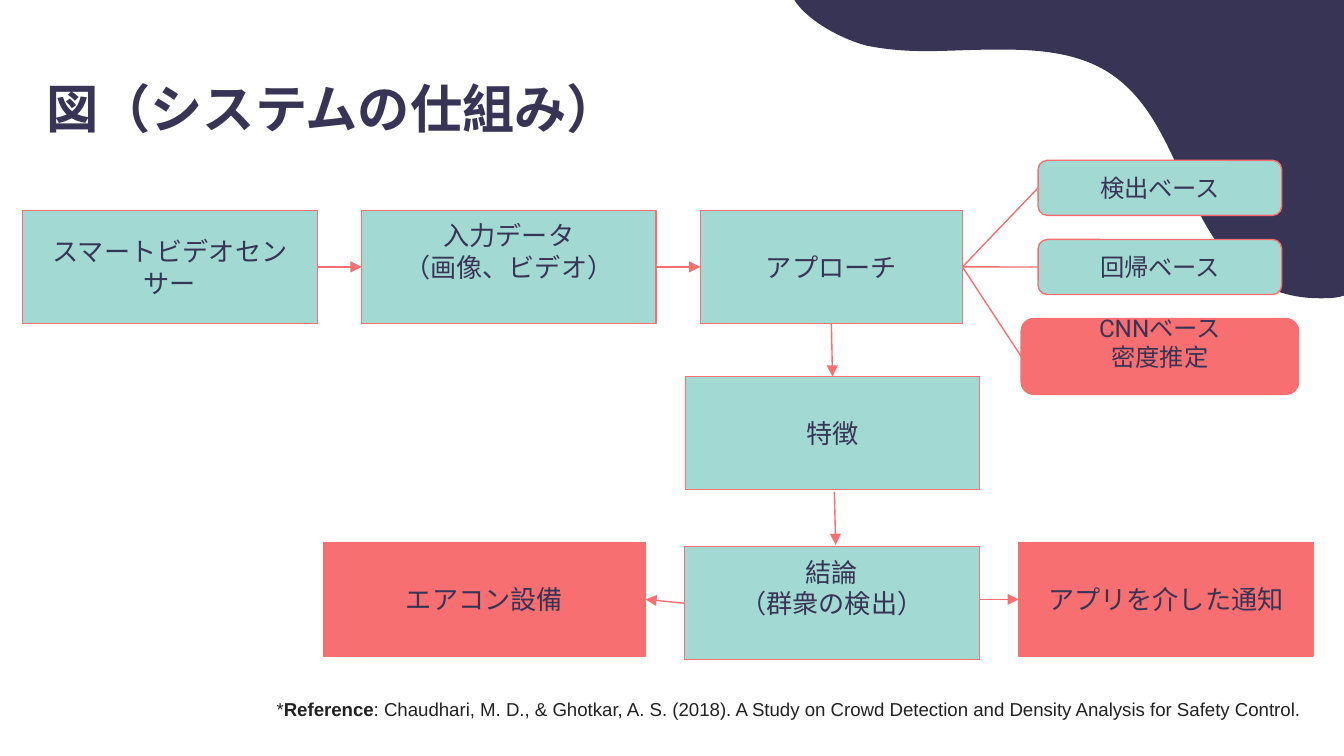
from dataclasses import dataclass

from lxml.etree import SubElement
from pptx import Presentation
from pptx.dml.color import RGBColor
from pptx.enum.shapes import MSO_CONNECTOR, MSO_SHAPE
from pptx.enum.text import MSO_ANCHOR, MSO_AUTO_SIZE, PP_ALIGN
from pptx.oxml.ns import qn
from pptx.util import Pt

NAVY, MINT, CORAL, WHITE, INK = "383455", "A2DAD3", "F76F70", "FFFFFF", "222222"
INSET = 7.2
STEP_WIDTH, STEP_HEIGHT = 157.8, 60.6


@dataclass
class Box:
    left: float
    top: float
    width: float
    height: float

    @property
    def middle(self):
        return self.top + self.height / 2

    @property
    def center(self):
        return self.left + self.width / 2

    @property
    def right(self):
        return self.left + self.width

    @property
    def bottom(self):
        return self.top + self.height

    def points(self):
        return [Pt(value) for value in (self.left, self.top, self.width, self.height)]


def color(value):
    return RGBColor.from_string(value)


def style_span(span, font, size, ink, bold=False):
    span.font.name = font
    span.font.size = Pt(size)
    span.font.bold = bold
    span.font.color.rgb = color(ink)


def set_insets(frame, top=INSET, bottom=INSET):
    frame.margin_left = frame.margin_right = Pt(INSET)
    frame.margin_top, frame.margin_bottom = Pt(top), Pt(bottom)
    frame.word_wrap = True
    frame.auto_size = MSO_AUTO_SIZE.NONE


def add_node(page, box, text, fill=MINT, size=14, kind=MSO_SHAPE.RECTANGLE, lift=0):
    node = page.shapes.add_shape(kind, *box.points())
    node.shadow.inherit = False
    node.fill.solid()
    node.fill.fore_color.rgb = color(fill)
    node.line.color.rgb = color(CORAL)
    node.line.width = Pt(0.75)
    frame = node.text_frame
    if lift:
        set_insets(frame, 0, 2 * lift)
    else:
        set_insets(frame)
    frame.vertical_anchor = MSO_ANCHOR.MIDDLE
    for index, line in enumerate(text.split("\n")):
        paragraph = frame.add_paragraph() if index else frame.paragraphs[0]
        paragraph.text = line
        paragraph.alignment = PP_ALIGN.CENTER
        style_span(paragraph.runs[0], "Roboto", size, NAVY)
    return box


def add_link(page, start, end, arrow=True):
    link = page.shapes.add_connector(
        MSO_CONNECTOR.STRAIGHT, *[Pt(value) for value in (*start, *end)]
    )
    link.line.color.rgb = color(CORAL)
    link.line.width = Pt(0.75)
    if arrow:
        SubElement(link.line._get_or_add_ln(), qn("a:tailEnd"), type="triangle")
    SubElement(link._element.spPr, qn("a:effectLst"))


def add_wave(page, box):
    curves = [
        ((290.2, 159.8), (285.8, 159.8), (281.5, 159.8)),
        ((267.8, 159.8), (254.2, 156.2), (243.4, 147.6)),
        ((208.1, 121.7), (206.6, 65.5), (170.6, 40.3)),
        ((154.1, 28.8), (133.2, 26.6), (113, 26.6)),
        ((110.9, 26.6), (108, 26.6), (105.8, 26.6)),
        ((94.3, 26.6), (82.1, 27.4), (70.6, 27.4)),
        ((59.8, 27.4), (49.7, 26.6), (38.9, 24.5)),
        ((27.4, 21.6), (7.9, 12.2), (0, 0)),
    ]
    builder = page.shapes.build_freeform(Pt(box.left), Pt(box.top))
    corners = [(box.right, box.top), (box.right, box.bottom)]
    builder.add_line_segments([(Pt(x), Pt(y)) for x, y in corners])
    wave = builder.convert_to_shape()
    outline = next(wave._element.iter(qn("a:path")))
    for command in list(outline):
        outline.remove(command)
    commands = [("moveTo", [(box.width, 0)]), ("lnTo", [(box.width, 158.4)])]
    commands += [("cubicBezTo", curve) for curve in curves]
    for name, points in commands:
        command = SubElement(outline, qn(f"a:{name}"))
        for x, y in points:
            SubElement(command, qn("a:pt"), x=str(Pt(x)), y=str(Pt(y)))
    SubElement(outline, qn("a:close"))
    wave.shadow.inherit = False
    wave.fill.solid()
    wave.fill.fore_color.rgb = color(NAVY)
    wave.line.fill.background()


def add_title(page, box):
    title = page.shapes.title
    title.left, title.top, title.width, title.height = box.points()
    frame = title.text_frame
    frame.text = "図（システムの仕組み）"
    set_insets(frame)
    frame.vertical_anchor = MSO_ANCHOR.TOP
    paragraph = frame.paragraphs[0]
    paragraph.alignment = PP_ALIGN.LEFT
    style_span(paragraph.runs[0], "Calibri", 28, NAVY, True)


def add_input_row(page, box):
    gap = 23.7
    steps = [
        ("スマートビデオセンサー", STEP_WIDTH, 0),
        ("入力データ\n（画像、ビデオ）", STEP_WIDTH, 8.4),
        ("アプローチ", 140.4, 0),
    ]
    left, previous = box.left, None
    for text, width, lift in steps:
        node = add_node(page, Box(left, box.top, width, box.height), text, lift=lift)
        if previous:
            add_link(page, (previous.right, box.middle), (left, box.middle))
        left, previous = node.right + gap, node
    return previous


def add_methods(page, box, source):
    gap = 12.9
    methods = [
        ("検出ベース", 130.5, 29.5, MINT, 0),
        ("回帰ベース", 130.5, 29.5, MINT, 0),
        ("CNNベース\n密度推定", box.width, 40.6, CORAL, 7.7),
    ]
    top = box.top
    for text, width, height, fill, lift in methods:
        place = Box(box.center - width / 2, top, width, height)
        add_node(page, place, text, fill, 13, MSO_SHAPE.ROUNDED_RECTANGLE, lift)
        add_link(page, (source.right, source.middle), (place.left, place.middle), False)
        top = place.bottom + gap


def add_result_area(page, box, source):
    height = STEP_HEIGHT
    feature = Box(box.left + 193.8, box.top, STEP_WIDTH, height)
    result = Box(box.left + 193.5, box.top + 91.2, STEP_WIDTH, height)
    cooling = Box(box.left, box.top + 89.1, 172.5, height)
    notice = Box(box.left + 372.4, cooling.top, STEP_WIDTH, height)
    add_node(page, feature, "特徴")
    add_node(page, result, "結論\n（群衆の検出）", lift=8.4)
    add_node(page, cooling, "エアコン設備", CORAL)
    add_node(page, notice, "アプリを介した通知", CORAL)
    add_link(page, (source.center, source.bottom), (feature.center, feature.top))
    add_link(page, (feature.center + 1, feature.bottom + 1.2), (result.center + 2, result.top - 1))
    add_link(page, (result.right, notice.middle), (notice.left, notice.middle))
    add_link(page, (result.left, result.middle), (cooling.right, cooling.middle))


def add_reference(page, box):
    frame = page.shapes.add_textbox(*box.points()).text_frame
    set_insets(frame)
    spans = [
        ("*", False),
        ("Reference", True),
        (": Chaudhari, M. D., & Ghotkar, A. S. (2018). A Study on Crowd Detection "
         "and Density Analysis for Safety Control.", False),
    ]
    for text, bold in spans:
        span = frame.paragraphs[0].add_run()
        span.text = text
        style_span(span, "Arial", 10, INK, bold)


def main():
    deck = Presentation()
    deck.slide_width, deck.slide_height = Pt(720), Pt(405)
    page = deck.slides.add_slide(deck.slide_layouts[5])
    page.background.fill.solid()
    page.background.fill.fore_color.rgb = color(WHITE)
    add_wave(page, Box(425.5, 0, 294.5, 159.8))
    add_title(page, Box(17.6, 33.8, 671, 45.4))
    approach = add_input_row(page, Box(12.2, 112.7, 503.7, STEP_HEIGHT))
    add_methods(page, Box(547.1, 85.9, 148.6, 125.4), approach)
    add_result_area(page, Box(173.3, 201.7, 530.2, 151.8), approach)
    add_reference(page, Box(141.1, 366.9, 568, 27.4))
    deck.save("out.pptx")


if __name__ == "__main__":
    main()
